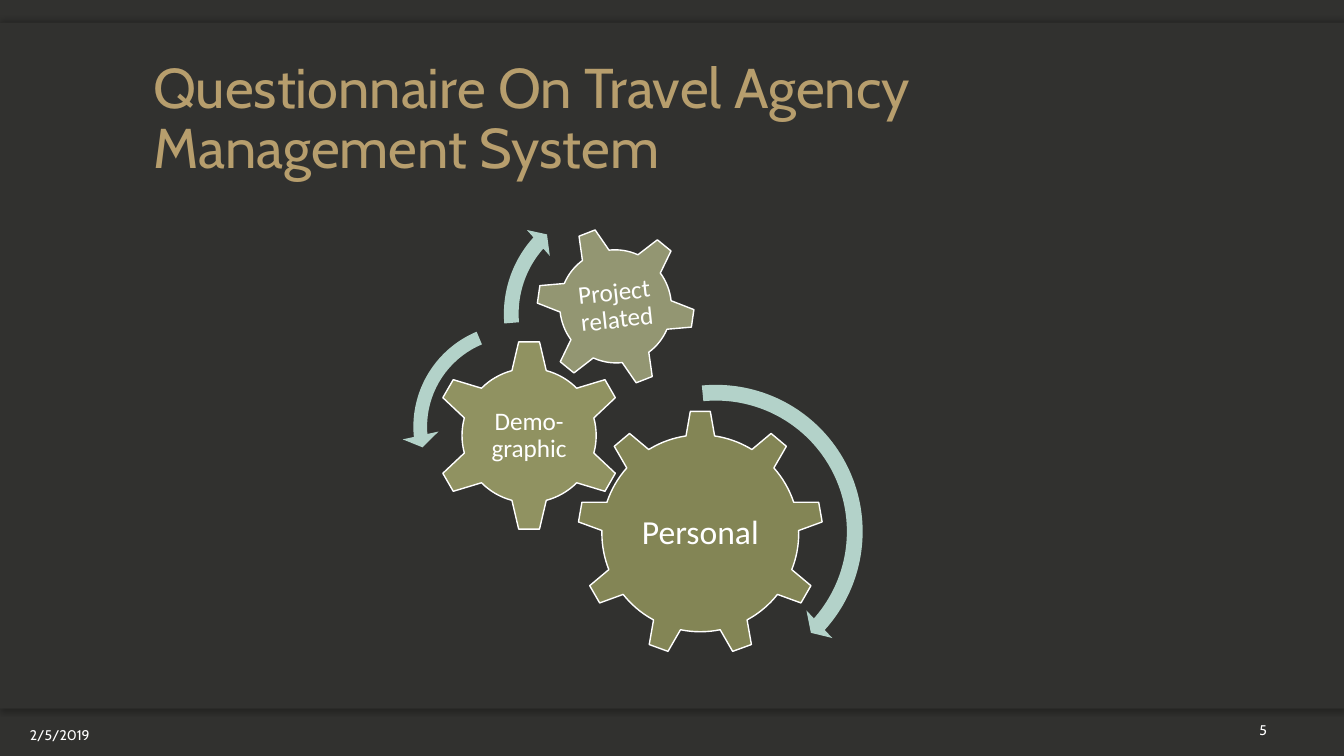
"""Build the questionnaire slide with three labelled gears."""
import pptx
import pptx.dml.color
import pptx.enum.shapes
import pptx.enum.text
import pptx.oxml
import pptx.oxml.ns
import pptx.util

Cm = pptx.util.Cm
Pt = pptx.util.Pt
PRESET = pptx.enum.shapes.MSO_SHAPE
ALIGN = pptx.enum.text.PP_ALIGN
ANCHOR = pptx.enum.text.MSO_ANCHOR

SLIDE_WIDTH, SLIDE_HEIGHT = 33.87, 19.05
BACKGROUND, GOLD, WHITE, MINT = "31312F", "B79E6D", "FFFFFF", "B3D2C9"
TITLE = "Questionnaire On Travel Agency Management System"
TITLE_BOX = (3.61, 1.17, 26.67, 3.51)

# top, height, shadow direction in degrees
BANDS = [(16.61, 1.24, 90), (0.58, 1.24, 270), (0.58, 17.27, None)]

# label, preset, box, fill, gear turn, label turn, label size, label points
GEARS = [
    ("Personal", PRESET.GEAR_9, (14.55, 10.34, 6.2, 6.2), "838555", 0, 0, (3.71, 3.2), 24),
    ("Demo-graphic", PRESET.GEAR_6, (10.92, 8.56, 4.83, 4.83), "909261", 0, 0, (2.39, 2.39), 18),
    ("Project related", PRESET.GEAR_6, (13.51, 5.69, 4.01, 4.06), "939672", 338.7, 353.7,
     (2.26, 2.29), 18),
]

# preset, left, top, side, adjustments
ARROWS = [
    (PRESET.CIRCULAR_ARROW, 14.07, 9.42, 7.95, (0.05, 2.99, 25.13, 158.68, 0.06)),
    (PRESET.LEFT_CIRCULAR_ARROW, 10.13, 7.87, 5.77, (0.06, 4.3, 104.89, 148.38, 0.08)),
    (PRESET.CIRCULAR_ARROW, 12.45, 4.8, 6.22, (0.06, 3.94, 133.14, 105.08, 0.07)),
]

FOOTERS = [("2/5/2019", (0, 18.14, 2.51, 0.76)), ("5", (30.28, 18.01, 1.9, 0.76))]


def color(value):
    return pptx.dml.color.RGBColor.from_string(value)


def add_preset(slide, preset, box, fill, outline=None):
    shape = slide.shapes.add_shape(preset, *map(Cm, box))
    shape.shadow.inherit = False
    shape.fill.solid()
    shape.fill.fore_color.rgb = color(fill)
    if outline:
        shape.line.color.rgb = color(outline)
        shape.line.width = Pt(1)
    else:
        shape.line.fill.background()
    return shape


def cast_shadow(shape, degrees):
    effects = shape._element.spPr.find(pptx.oxml.ns.qn("a:effectLst"))
    effects.append(pptx.oxml.parse_xml(
        f'<a:outerShdw {pptx.oxml.ns.nsdecls("a")} blurRad="{Pt(4)}" dist="{Pt(2)}" '
        f'dir="{degrees * 60000}" rotWithShape="0">'
        '<a:srgbClr val="000000"><a:alpha val="25000"/></a:srgbClr></a:outerShdw>'))


def write(frame, text, size, font, ink, align, anchor, spacing=1.0):
    frame.word_wrap = True
    frame.auto_size = pptx.enum.text.MSO_AUTO_SIZE.NONE
    frame.vertical_anchor = anchor
    frame.text = text
    paragraph = frame.paragraphs[0]
    paragraph.alignment = align
    paragraph.line_spacing = spacing
    paragraph.font.size = Pt(size)
    paragraph.font.name = font
    paragraph.font.color.rgb = color(ink)


def add_gear(slide, label, preset, box, fill, gear_turn, label_turn, label_size, points):
    add_preset(slide, preset, box, fill, WHITE).rotation = gear_turn
    left, top, width, height = box
    label_width, label_height = label_size
    caption = slide.shapes.add_textbox(
        Cm(left + (width - label_width) / 2), Cm(top + (height - label_height) / 2),
        Cm(label_width), Cm(label_height))
    caption.rotation = label_turn
    frame = caption.text_frame
    frame.margin_left = frame.margin_right = Cm(0.08)
    frame.margin_top = frame.margin_bottom = Cm(0.08)
    write(frame, label, points, "Calibri", WHITE, ALIGN.CENTER, ANCHOR.MIDDLE, 0.9)


def main():
    deck = pptx.Presentation()
    deck.slide_width, deck.slide_height = Cm(SLIDE_WIDTH), Cm(SLIDE_HEIGHT)
    slide = deck.slides.add_slide(deck.slide_layouts[5])
    slide.background.fill.solid()
    slide.background.fill.fore_color.rgb = color(BACKGROUND)

    for top, height, shadow in BANDS:
        band = add_preset(slide, PRESET.RECTANGLE, (0, top, SLIDE_WIDTH, height), BACKGROUND)
        if shadow is not None:
            cast_shadow(band, shadow)

    title = slide.shapes.title
    title.left, title.top, title.width, title.height = map(Cm, TITLE_BOX)
    write(title.text_frame, TITLE, 40, "Cabin", GOLD, ALIGN.LEFT, ANCHOR.BOTTOM, 0.9)
    slide.shapes._spTree.append(title._element)

    for gear in GEARS:
        add_gear(slide, *gear)

    for preset, left, top, side, adjustments in ARROWS:
        arrow = add_preset(slide, preset, (left, top, side, side), MINT)
        for index, value in enumerate(adjustments):
            arrow.adjustments[index] = value

    for text, box in FOOTERS:
        footer = slide.shapes.add_textbox(*map(Cm, box))
        write(footer.text_frame, text, 10, "Cabin", WHITE, ALIGN.RIGHT, ANCHOR.MIDDLE)

    deck.save("out.pptx")


if __name__ == "__main__":
    main()
